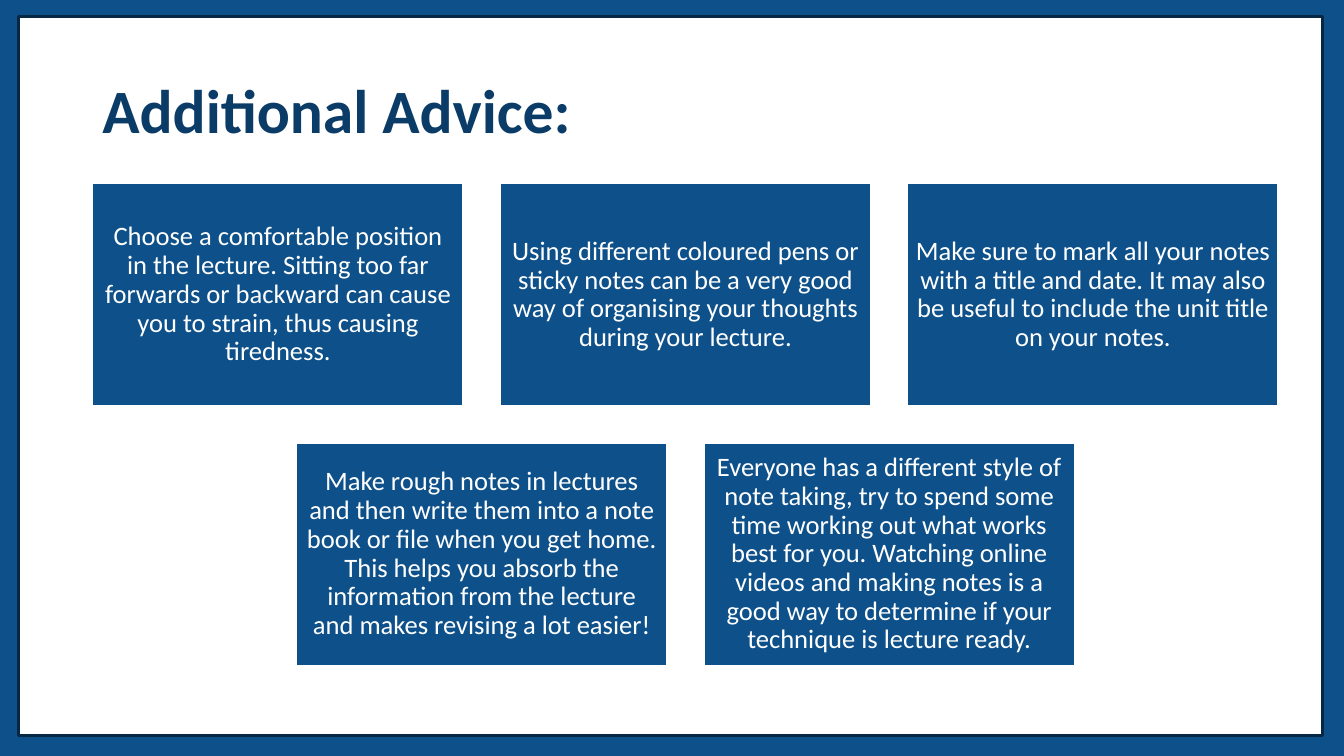
from dataclasses import dataclass

from pptx import Presentation
from pptx.dml.color import RGBColor
from pptx.enum.shapes import MSO_SHAPE as Preset
from pptx.enum.text import MSO_ANCHOR as Anchor, MSO_AUTO_SIZE as AutoSize, PP_ALIGN as Align
from pptx.shapes.autoshape import Shape
from pptx.slide import Slide
from pptx.util import Length, Pt


@dataclass(frozen=True)
class Theme:
    """Colours, font and type sizes of the slide."""
    blue: RGBColor = RGBColor.from_string("0E5089")
    navy: RGBColor = RGBColor.from_string("072844")
    heading: RGBColor = RGBColor.from_string("0B3C67")
    white: RGBColor = RGBColor.from_string("FFFFFF")
    font: str = "Calibri"
    heading_size: Length = Pt(44)
    advice_size: Length = Pt(19)
    line_spacing: float = 0.9


@dataclass(frozen=True)
class Box:
    """Position and size in points."""
    left: float
    top: float
    width: float
    height: float

    def lengths(self) -> tuple[Length, ...]:
        """Return the four measures as lengths."""
        return tuple(Pt(v) for v in (self.left, self.top, self.width, self.height))


THEME = Theme()
FRAME = Box(13.4, 11.5, 931, 514)
HEADING = Box(66, 28.75, 828, 104.4)
FIRST_CARD_TOP, CARD_WIDTH, CARD_HEIGHT, CARD_GAP = 131.2, 264.6, 158.8, 26.46
GRID_CENTRE = 489.6
CARD_INSET = Pt(5.7)

ADVICE_ROWS = (
    (
        "Choose a comfortable position in the lecture. Sitting too far forwards or backward "
        "can cause you to strain, thus causing tiredness.",
        "Using different coloured pens or sticky notes can be a very good way of organising "
        "your thoughts during your lecture.",
        "Make sure to mark all your notes with a title and date. It may also be useful to "
        "include the unit title on your notes.",
    ),
    (
        "Make rough notes in lectures and then write them into a note book or file when you "
        "get home. This helps you absorb the information from the lecture and makes revising "
        "a lot easier!",
        "Everyone has a different style of note taking, try to spend some time working out "
        "what works best for you. Watching online videos and making notes is a good way to "
        "determine if your technique is lecture ready.",
    ),
)


def add_panel(slide: Slide, box: Box, fill: RGBColor, line: RGBColor, weight: float) -> Shape:
    """Add a flat outlined rectangle."""
    panel = slide.shapes.add_shape(Preset.RECTANGLE, *box.lengths())
    panel.shadow.inherit = False
    panel.fill.solid()
    panel.fill.fore_color.rgb = fill
    panel.line.color.rgb = line
    panel.line.width = Pt(weight)
    return panel


def write(shape: Shape, text: str, size: Length, colour: RGBColor, align: Align, bold: bool) -> None:
    """Fill a shape with one vertically centred paragraph."""
    frame = shape.text_frame
    frame.text = text
    frame.word_wrap = True
    frame.auto_size = AutoSize.NONE
    frame.vertical_anchor = Anchor.MIDDLE
    paragraph = frame.paragraphs[0]
    paragraph.alignment = align
    paragraph.line_spacing = THEME.line_spacing
    paragraph.font.name = THEME.font
    paragraph.font.size = size
    paragraph.font.bold = bold
    paragraph.font.color.rgb = colour


def add_heading(slide: Slide, text: str) -> None:
    """Place the title in front of the white frame."""
    frame = add_panel(slide, FRAME, THEME.white, THEME.navy, 2)
    heading = slide.shapes.title
    heading.element.addprevious(frame.element)
    heading.left, heading.top, heading.width, heading.height = HEADING.lengths()
    write(heading, text, THEME.heading_size, THEME.heading, Align.LEFT, True)


def add_card(slide: Slide, box: Box, advice: str) -> None:
    """Add one piece of advice on a blue card."""
    card = add_panel(slide, box, THEME.blue, THEME.white, 1)
    frame = card.text_frame
    frame.margin_left = frame.margin_right = CARD_INSET
    frame.margin_top = frame.margin_bottom = CARD_INSET
    write(card, advice, THEME.advice_size, THEME.white, Align.CENTER, False)


def add_row(slide: Slide, top: float, row: tuple[str, ...]) -> None:
    """Centre a row of advice cards on the grid."""
    step = CARD_WIDTH + CARD_GAP
    first_left = GRID_CENTRE - (len(row) * step - CARD_GAP) / 2
    for column, advice in enumerate(row):
        add_card(slide, Box(first_left + column * step, top, CARD_WIDTH, CARD_HEIGHT), advice)


def main() -> None:
    """Build and save the slide."""
    deck = Presentation()
    deck.slide_width, deck.slide_height = Pt(960), Pt(540)
    slide = deck.slides.add_slide(deck.slide_layouts.get_by_name("Title Only"))
    slide.background.fill.solid()
    slide.background.fill.fore_color.rgb = THEME.blue
    add_heading(slide, "Additional Advice:")
    for index, row in enumerate(ADVICE_ROWS):
        add_row(slide, FIRST_CARD_TOP + index * (CARD_HEIGHT + CARD_GAP), row)
    deck.save("out.pptx")


main()
